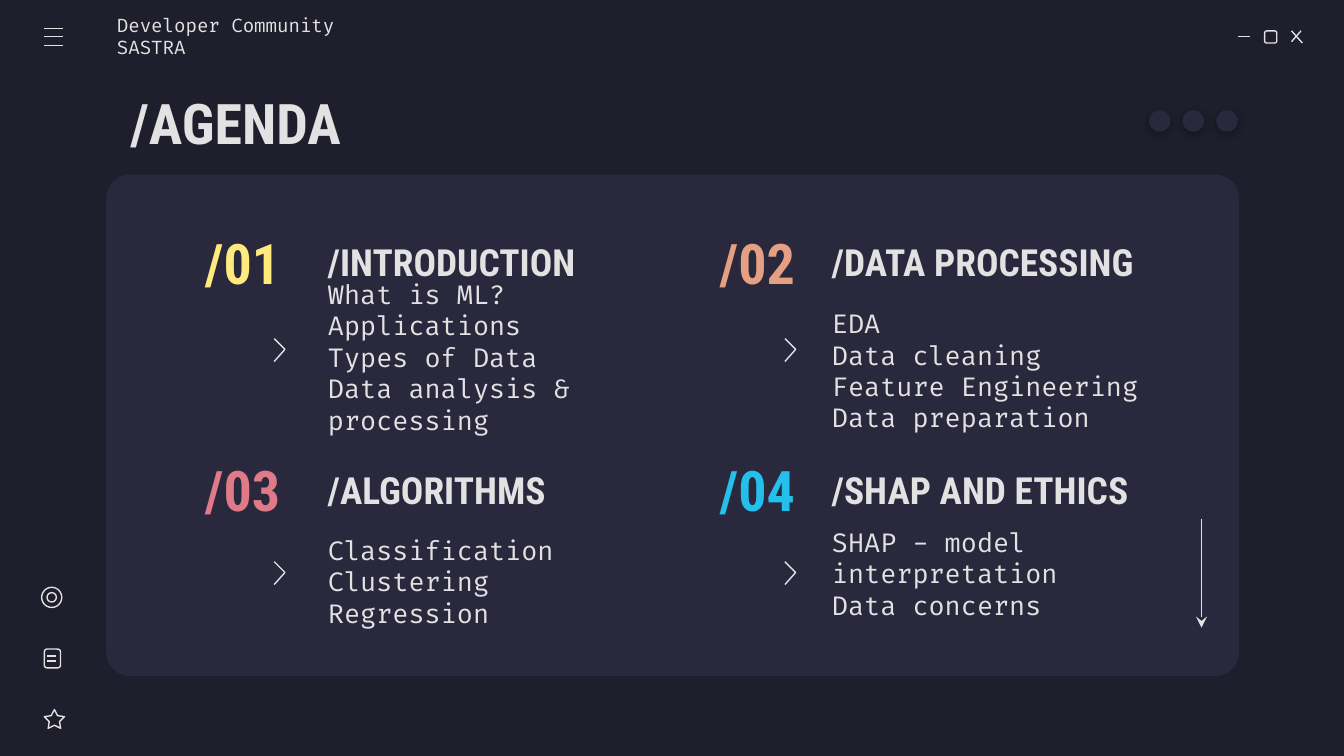
from lxml import etree
from pptx import Presentation
from pptx.dml.color import RGBColor
from pptx.enum.shapes import MSO_CONNECTOR, MSO_SHAPE
from pptx.enum.text import MSO_ANCHOR, MSO_AUTO_SIZE, PP_ALIGN
from pptx.oxml import parse_xml
from pptx.oxml.ns import nsdecls, qn
from pptx.util import Inches, Pt

LINE = MSO_CONNECTOR.STRAIGHT
ROUNDED = MSO_SHAPE.ROUNDED_RECTANGLE
OVAL = MSO_SHAPE.OVAL
STAR = MSO_SHAPE.STAR_5_POINT
MIDDLE = MSO_ANCHOR.MIDDLE
NO_AUTOFIT = MSO_AUTO_SIZE.NONE
LEFT, CENTER = PP_ALIGN.LEFT, PP_ALIGN.CENTER
COMPARISON_LAYOUT = 4

COLORS = {
    "background": "1E1E2C",
    "panel": "29283D",
    "light": "E2E2E2",
    "yellow": "FFEA7D",
    "orange": "E5A083",
    "pink": "E07A88",
    "blue": "24BFEB",
}
HEADING_FONT = "Roboto Condensed"
CODE_FONT = "Fira Code"

TOPICS = [
    ("/01", "yellow", "/INTRODUCTION", (2.22, 2.56, 0.87),
     ["What is ML?", "Applications", "Types of Data", "Data analysis & processing"]),
    ("/02", "orange", "/DATA PROCESSING", (2.42, 2.56, 0.67),
     ["EDA", "Data cleaning", "Feature Engineering", "Data preparation"]),
    ("/03", "pink", "/ALGORITHMS", (3.92, 2.56, 0.81),
     ["Classification", "Clustering", "Regression"]),
    ("/04", "blue", "/SHAP AND ETHICS", (3.89, 2.67, 0.75),
     ["SHAP - model interpretation", "Data concerns"]),
]
NUMBER_LEFTS = (1.35, 5.18)
TEXT_LEFTS = (2.34, 6.09)
CHEVRON_LEFTS = (2.04, 5.84)
HEADING_TOPS = (1.67, 3.36)
CHEVRON_TOPS = (2.52, 4.18)


def color(name):
    return RGBColor.from_string(COLORS[name])


def write_text(shape, lines, font=CODE_FONT, size=14, bold=False,
               fill="light", align=LEFT, left_inset=0.1):
    frame = shape.text_frame
    frame.word_wrap = True
    frame.auto_size = NO_AUTOFIT
    frame.vertical_anchor = MIDDLE
    frame.margin_left = Inches(left_inset)
    frame.margin_top = frame.margin_right = frame.margin_bottom = Inches(0.1)
    frame.text = "\n".join(lines)
    for paragraph in frame.paragraphs:
        properties = paragraph._p.get_or_add_pPr()
        properties.set("marL", "0")
        properties.set("indent", "0")
        etree.SubElement(properties, qn("a:buNone"))
        paragraph.alignment = align
        paragraph.space_before = Pt(0)
        paragraph.font.name = font
        paragraph.font.size = Pt(size)
        paragraph.font.bold = bold
        paragraph.font.color.rgb = color(fill)


def place(shape, left, top, width, height):
    shape.left, shape.top = Inches(left), Inches(top)
    shape.width, shape.height = Inches(width), Inches(height)


def add_label(slide, text, left, top, width, height, **text_format):
    box = slide.shapes.add_textbox(
        Inches(left), Inches(top), Inches(width), Inches(height))
    write_text(box, [text], **text_format)


def outline(shape):
    shape.line.color.rgb = color("light")
    shape.line.width = Pt(0.75)


def add_shape(slide, kind, left, top, width, height, fill=None):
    shape = slide.shapes.add_shape(
        kind, Inches(left), Inches(top), Inches(width), Inches(height))
    shape.shadow.inherit = False
    if fill:
        shape.fill.solid()
        shape.fill.fore_color.rgb = color(fill)
        shape.line.fill.background()
    else:
        shape.fill.background()
        outline(shape)
    return shape


def add_line(slide, x1, y1, x2, y2, arrow=False):
    line = slide.shapes.add_connector(
        LINE, Inches(x1), Inches(y1), Inches(x2), Inches(y2))
    outline(line)
    if arrow:
        etree.SubElement(line.line._get_or_add_ln(), qn("a:tailEnd"), type="stealth")
    etree.SubElement(line._element.spPr, qn("a:effectLst"))


def add_chevron(slide, left, top):
    builder = slide.shapes.build_freeform(Inches(left), Inches(top))
    builder.add_line_segments(
        [(Inches(left + 0.08), Inches(top + 0.08)), (Inches(left), Inches(top + 0.17))],
        close=False)
    chevron = builder.convert_to_shape()
    chevron.shadow.inherit = False
    chevron.fill.background()
    outline(chevron)


def add_shadow_dot(slide, left):
    dot = add_shape(slide, OVAL, left, 0.82, 0.16, 0.16, fill="panel")
    effects = dot._element.spPr.find(qn("a:effectLst"))
    effects.append(parse_xml(
        f'<a:outerShdw {nsdecls("a")} blurRad="57150" dist="19050" dir="5400000" '
        'algn="bl" rotWithShape="0"><a:srgbClr val="000000">'
        '<a:alpha val="30000"/></a:srgbClr></a:outerShdw>'))


def add_window_controls(slide):
    add_line(slide, 9.21, 0.27, 9.3, 0.27)
    add_shape(slide, ROUNDED, 9.41, 0.23, 0.09, 0.09)
    add_line(slide, 9.61, 0.23, 9.69, 0.32)
    add_line(slide, 9.68, 0.23, 9.61, 0.31)
    for index in range(3):
        add_shadow_dot(slide, 8.55 + 0.25 * index)


def add_sidebar(slide):
    for y in (0.21, 0.27, 0.34):
        add_line(slide, 0.33, y, 0.47, y)
    add_shape(slide, OVAL, 0.31, 4.37, 0.15, 0.15)
    add_shape(slide, OVAL, 0.35, 4.41, 0.07, 0.07)
    add_shape(slide, ROUNDED, 0.33, 4.83, 0.12, 0.14)
    for y in (4.88, 4.92):
        add_line(slide, 0.35, y, 0.42, y)
    star = add_shape(slide, STAR, 0.33, 5.28, 0.15, 0.14)
    star.adjustments[0] = 0.254


def add_topic(slide, index, topic):
    number, accent, heading, (top, width, height), items = topic
    row, column = divmod(index, 2)
    heading_top, text_left = HEADING_TOPS[row], TEXT_LEFTS[column]
    add_label(slide, number, NUMBER_LEFTS[column], heading_top, 0.91, 0.56,
              font=HEADING_FONT, size=30, bold=True, fill=accent, align=CENTER)
    add_label(slide, heading, text_left, heading_top, 2.56, 0.56,
              font=HEADING_FONT, size=20, bold=True)
    body = slide.placeholders[index + 1]
    place(body, text_left, top, width, height)
    write_text(body, items)
    add_chevron(slide, CHEVRON_LEFTS[column], CHEVRON_TOPS[row])


def add_panel(slide):
    panel = add_shape(slide, ROUNDED, 0.79, 1.3, 8.43, 3.73, fill="panel")
    panel.adjustments[0] = 0.047
    slide.shapes._spTree.insert(2, panel._element)


def main():
    presentation = Presentation()
    presentation.slide_width = Inches(10)
    presentation.slide_height = Inches(10 * 9 / 16)
    slide = presentation.slides.add_slide(presentation.slide_layouts[COMPARISON_LAYOUT])
    slide.background.fill.solid()
    slide.background.fill.fore_color.rgb = color("background")
    add_panel(slide)
    title = slide.shapes.title
    place(title, 0.87, 0.59, 8.43, 0.63)
    write_text(title, ["/AGENDA"], font=HEADING_FONT, size=30, bold=True)
    add_label(slide, "Developer Community SASTRA", 0.87, 0.12, 2.15, 0.3,
              size=10, left_inset=0)
    for index, topic in enumerate(TOPICS):
        add_topic(slide, index, topic)
    add_window_controls(slide)
    add_sidebar(slide)
    add_line(slide, 8.94, 3.86, 8.94, 4.67, arrow=True)
    presentation.save("out.pptx")


if __name__ == "__main__":
    main()
